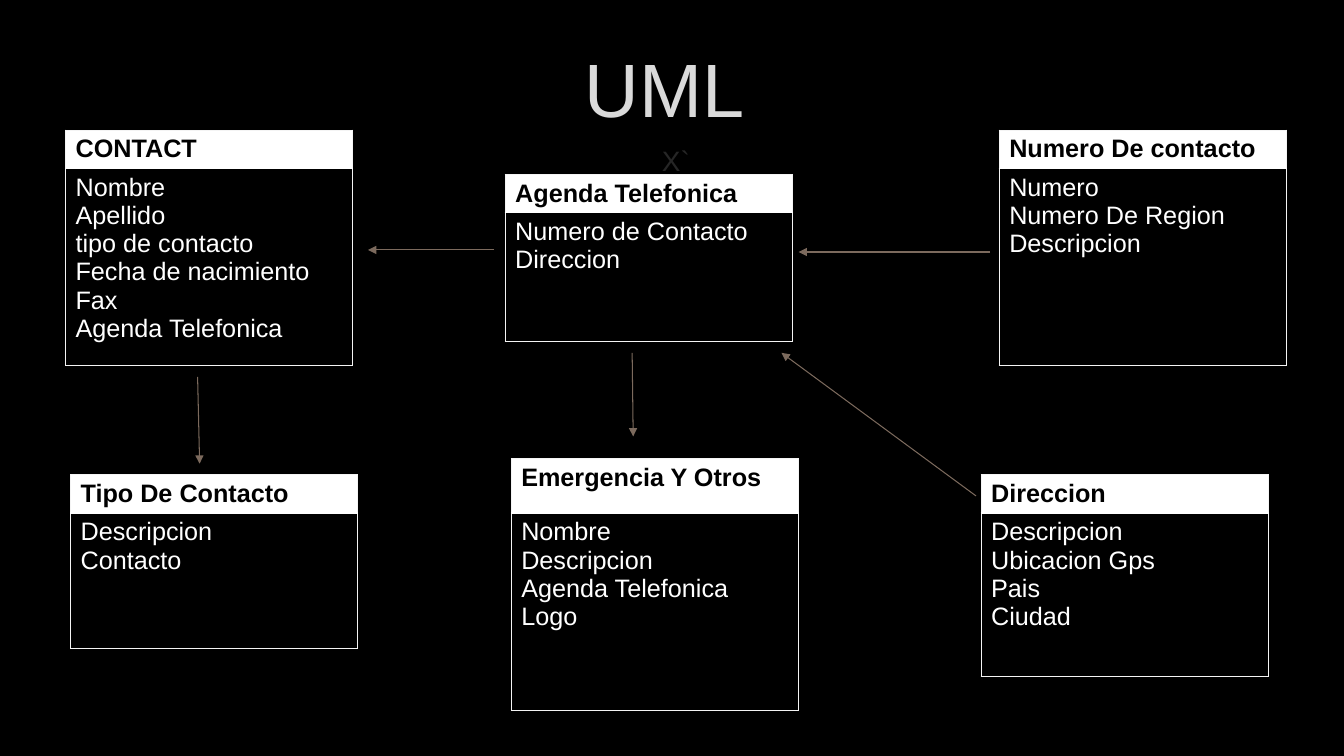
from lxml.etree import SubElement
from pptx import Presentation
from pptx.dml.color import RGBColor
from pptx.enum.shapes import MSO_CONNECTOR as Connector
from pptx.enum.text import MSO_ANCHOR as Anchor, MSO_AUTO_SIZE as AutoSize, PP_ALIGN as Align
from pptx.oxml.ns import qn
from pptx.util import Inches, Pt

BLACK = RGBColor(0x00, 0x00, 0x00)
WHITE = RGBColor(0xFF, 0xFF, 0xFF)
TITLE_GREY = RGBColor(0xDA, 0xDA, 0xDA)
FAINT_GREY = RGBColor(0x26, 0x26, 0x26)
BORDER = RGBColor(0xF4, 0xF4, 0xF4)
ARROW = RGBColor(0x7C, 0x6A, 0x5D)


def set_attributes(target, values):
    for key, value in values.items():
        setattr(target, key, value)


class UmlSlide:
    font_name = "Arial"
    box_width = 2.85
    line_width = Pt(0.75)

    def __init__(self, slide, background):
        self.slide = slide
        slide.background.fill.solid()
        slide.background.fill.fore_color.rgb = background

    def style_text(self, paragraph, size, color, bold=False):
        set_attributes(paragraph.font, {"name": self.font_name, "size": Pt(size), "bold": bold})
        paragraph.font.color.rgb = color

    def heading(self, index, text, place, size, color, frame_format, paragraph_format):
        holder = self.slide.placeholders[index]
        lengths = map(Inches, place)
        set_attributes(holder, dict(zip(("left", "top", "width", "height"), lengths)))
        frame = holder.text_frame
        frame.text = text
        set_attributes(frame, {"auto_size": AutoSize.NONE, "word_wrap": True, **frame_format})
        paragraph = frame.paragraphs[0]
        set_attributes(paragraph, {"alignment": Align.CENTER, **paragraph_format})
        self.style_text(paragraph, size, color)

    def border(self, cell, sides):
        properties = cell._tc.get_or_add_tcPr()
        for side in sides:
            line = SubElement(properties, qn(f"a:ln{side}"), w=str(self.line_width))
            SubElement(SubElement(line, qn("a:solidFill")), qn("a:srgbClr"), val=str(BORDER))

    def uml_class(self, name, members, left, top, header, body):
        table = self.slide.shapes.add_table(
            2, 1, Inches(left), Inches(top),
            Inches(self.box_width), Inches(header + body)).table
        rows = (
            (name, header, "LRT", WHITE, BLACK, True),
            ("\n".join(members), body, "LRTB", BLACK, WHITE, False),
        )
        for index, (text, height, sides, fill, color, bold) in enumerate(rows):
            table.rows[index].height = Inches(height)
            cell = table.cell(index, 0)
            cell.text = text
            self.border(cell, sides)
            cell.fill.solid()
            cell.fill.fore_color.rgb = fill
            for paragraph in cell.text_frame.paragraphs:
                self.style_text(paragraph, 18, color, bold)

    def arrow(self, start, end):
        connector = self.slide.shapes.add_connector(
            Connector.STRAIGHT, *map(Inches, (*start, *end)))
        connector.line.color.rgb = ARROW
        connector.line.width = self.line_width
        SubElement(connector.line._get_or_add_ln(), qn("a:tailEnd"), type="triangle")
        SubElement(connector._element.spPr, qn("a:effectLst"))


presentation = Presentation()
set_attributes(presentation, {"slide_width": Inches(13.33), "slide_height": Inches(7.5)})
diagram = UmlSlide(presentation.slides.add_slide(presentation.slide_layouts[0]), BLACK)

# Title and subtitle
diagram.heading(0, "UML", (1.36, 0.27, 10.46, 1.1), 54, TITLE_GREY,
                {"vertical_anchor": Anchor.BOTTOM}, {})
diagram.heading(1, "X`", (0.65, 1.37, 12.11, 5.42), 20, FAINT_GREY,
                {"vertical_anchor": Anchor.TOP},
                {"space_before": Pt(4), "space_after": Pt(6)})

# Classes: name, members, left, top, header height, body height
classes = (
    ("CONTACT", ("Nombre", "Apellido", "tipo de contacto", "Fecha de nacimiento",
                 "Fax", "Agenda Telefonica"), 0.65, 1.29, 0.38, 1.96),
    ("Agenda Telefonica", ("Numero de Contacto", "Direccion"), 5.01, 1.73, 0.38, 1.28),
    ("Emergencia Y Otros", ("Nombre", "Descripcion", "Agenda Telefonica", "Logo"),
     5.07, 4.55, 0.54, 1.96),
    ("Numero De contacto", ("Numero", "Numero De Region", "Descripcion"),
     9.91, 1.29, 0.38, 1.96),
    ("Direccion", ("Descripcion", "Ubicacion Gps", "Pais", "Ciudad"),
     9.73, 4.71, 0.38, 1.62),
    ("Tipo De Contacto", ("Descripcion", "Contacto"), 0.7, 4.71, 0.38, 1.34),
)
for uml_class in classes:
    diagram.uml_class(*uml_class)

# Relations between the classes
relations = (
    ((9.68, 4.92), (7.75, 3.5)),
    ((9.82, 2.5), (7.92, 2.5)),
    ((4.9, 2.48), (3.65, 2.48)),
    ((6.27, 3.5), (6.28, 4.33)),
    ((1.96, 3.74), (1.98, 4.6)),
)
for start, end in relations:
    diagram.arrow(start, end)

presentation.save("out.pptx")
